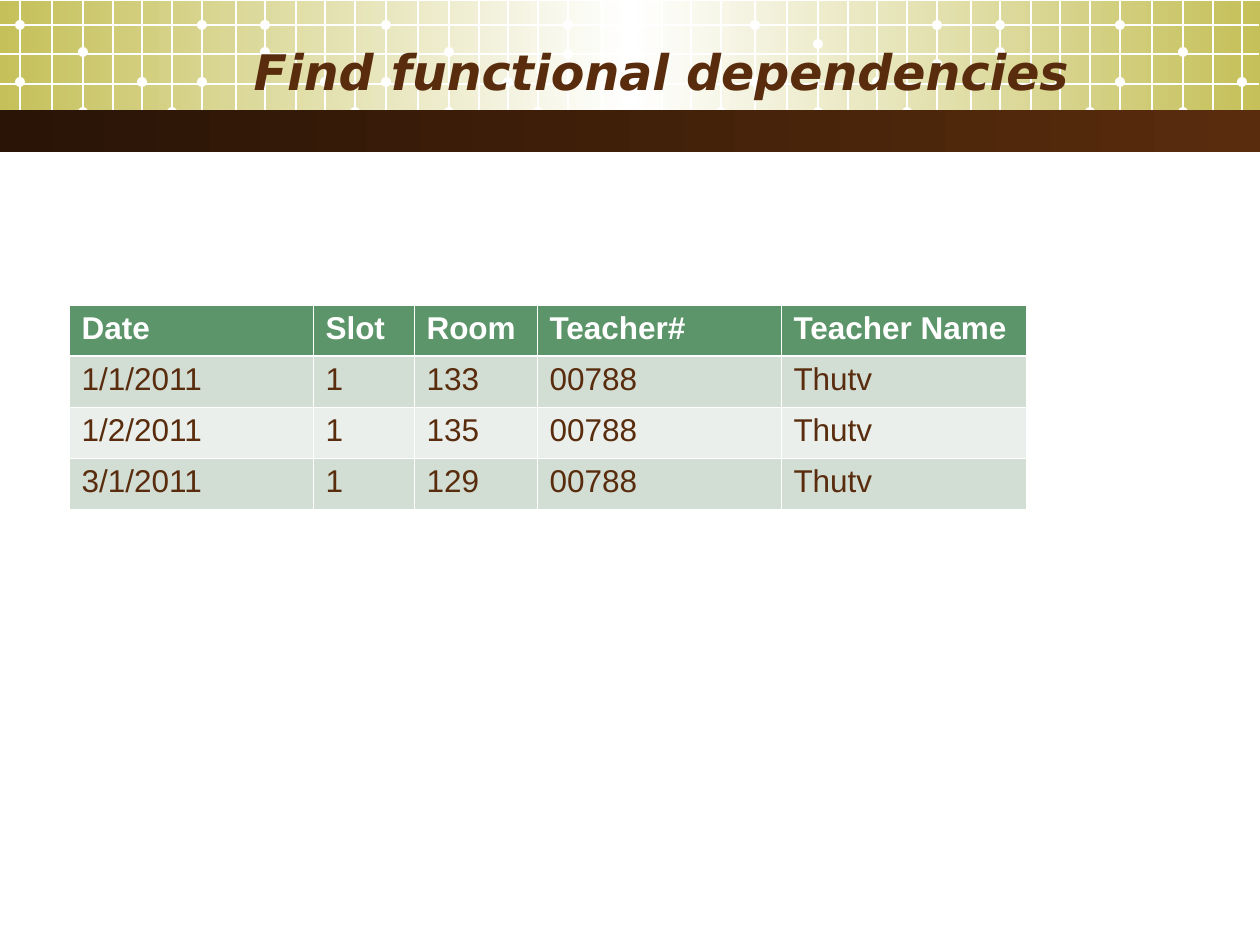
from copy import deepcopy

from lxml import etree
from pptx import Presentation
from pptx.dml.color import RGBColor
from pptx.enum.shapes import MSO_CONNECTOR, MSO_SHAPE
from pptx.enum.text import MSO_ANCHOR, PP_ALIGN
from pptx.oxml.ns import qn
from pptx.util import Emu, Pt

RECT, OVAL = MSO_SHAPE.RECTANGLE, MSO_SHAPE.OVAL
STRAIGHT = MSO_CONNECTOR.STRAIGHT
MIDDLE, RIGHT = MSO_ANCHOR.MIDDLE, PP_ALIGN.RIGHT

SLIDE_W, SLIDE_H = 1260, 945
OLIVE, WHITE, BROWN, DARK_BROWN = "C5C059", "FFFFFF", "592C0D", "291406"
GREEN, PALE_GREEN, PALER_GREEN = "5B9569", "D2DDD4", "EAEFEB"

TITLE_FORMAT = {"name": "DejaVu Sans", "size": Pt(28), "bold": True, "italic": True}
HEADER_FORMAT = {"name": "Arial", "size": Pt(18), "bold": True}
BODY_FORMAT = {**HEADER_FORMAT, "bold": False}

# Grid pattern: column offsets inside one tile, and rows across the band
COLUMN_OFFSETS = [0, 32, 63, 93, 122, 152, 182, 216, 245, 276, 305, 335]
GRID_ROWS = [25, 54, 84, 112]
# Tile start, height of the dot on column 63, height of the dot on column 182
TILES = [(20, 52, 82), (386, 52, 54), (755, 44, 64), (1120, 52, 82)]
DOT = 10

COLUMN_WIDTHS = [244, 101, 123, 244, 245]
ROW_HEIGHT = 51
SCHEDULE = [
    ["Date", "Slot", "Room", "Teacher#", "Teacher Name"],
    ["1/1/2011", "1", "133", "00788", "Thutv"],
    ["1/2/2011", "1", "135", "00788", "Thutv"],
    ["3/1/2011", "1", "129", "00788", "Thutv"],
]


def px(length):
    return Emu(round(length * 914400 / 126))


def rgb(color):
    return RGBColor.from_string(color)


def set_font(font, values, color):
    for key, value in values.items():
        setattr(font, key, value)
    font.color.rgb = rgb(color)


def add_plain(shapes, kind, box):
    shape = shapes.add_shape(kind, *map(px, box))
    shape.shadow.inherit = False
    shape.line.fill.background()
    return shape


def add_gradient(shapes, box, colors):
    fill = add_plain(shapes, RECT, box).fill
    fill.gradient()
    fill.gradient_angle = 0
    stops = fill.gradient_stops
    if len(colors) > len(stops):
        last = fill._xPr.find(".//" + qn("a:gsLst"))[-1]
        last.addnext(deepcopy(last))
        stops = fill.gradient_stops
    for index, (stop, color) in enumerate(zip(stops, colors)):
        stop.position = index / (len(colors) - 1)
        stop.color.rgb = rgb(color)


def add_grid_line(shapes, x1, y1, x2, y2):
    line = shapes.add_connector(STRAIGHT, *map(px, (x1, y1, x2, y2)))
    line.line.color.rgb = rgb(WHITE)
    line.line.width = Pt(0.75)
    etree.SubElement(line._element.spPr, qn("a:effectLst"))


def add_dot(shapes, x, y):
    box = (x - DOT // 2, y - DOT // 2, DOT, DOT)
    dot = add_plain(shapes, OVAL, box)
    dot.fill.solid()
    dot.fill.fore_color.rgb = rgb(WHITE)


def add_banner(slide, left, top, width, height):
    # Olive band
    add_gradient(slide.shapes, (left, top + 1, width, 128), [OLIVE, WHITE, OLIVE])

    # White grid with dots on some of its crossings
    grid = slide.shapes.add_group_shape().shapes
    for start, high, low in TILES:
        dots = [(0, 82), (0, 25), (63, high), (63, 112), (122, 82), (152, 112),
                (182, low), (182, 25), (245, 52), (245, 25), (305, 82), (335, 112)]
        for offset, y in dots:
            if start + offset < width:
                add_dot(grid, left + start + offset, top + y)
        for offset in COLUMN_OFFSETS:
            x = left + start + offset
            if x < left + width:
                add_grid_line(grid, x, top, x, top + 139)
    for y in GRID_ROWS:
        add_grid_line(grid, left - 1, top + y, left + width - 1, top + y)

    # Brown bar along the foot
    bar = 42
    add_gradient(slide.shapes, (left, top + height - bar, width, bar), [DARK_BROWN, BROWN])


def add_title(slide, left, top, width, height):
    frame = slide.shapes.add_textbox(*map(px, (left, top, width, height))).text_frame
    frame.word_wrap = True
    frame.vertical_anchor = MIDDLE
    heading = frame.paragraphs[0]
    heading.alignment = RIGHT
    heading.text = "Find functional dependencies"
    set_font(heading.runs[0].font, TITLE_FORMAT, BROWN)


def set_borders(cell, widths):
    properties = cell._tc.get_or_add_tcPr()
    for index, (side, width) in enumerate(widths.items()):
        border = etree.Element(qn(f"a:ln{side}"), w=str(Pt(width)))
        fill = etree.SubElement(border, qn("a:solidFill"))
        etree.SubElement(fill, qn("a:srgbClr"), val=WHITE)
        properties.insert(index, border)


def add_schedule(slide, left, top):
    size = (sum(COLUMN_WIDTHS), ROW_HEIGHT * len(SCHEDULE))
    table = slide.shapes.add_table(
        len(SCHEDULE), len(COLUMN_WIDTHS), *map(px, (left, top, *size))).table
    for column, width in zip(table.columns, COLUMN_WIDTHS):
        column.width = px(width)
    for r, record in enumerate(SCHEDULE):
        table.rows[r].height = px(ROW_HEIGHT)
        header = r == 0
        band = GREEN if header else (PALER_GREEN, PALE_GREEN)[r % 2]
        borders = {"L": 0.45, "R": 0.45,
                   "T": 1.47 if r == 1 else 0.45, "B": 1.47 if header else 0.45}
        for c, value in enumerate(record):
            cell = table.cell(r, c)
            cell.text = value
            cell.fill.solid()
            cell.fill.fore_color.rgb = rgb(band)
            set_borders(cell, borders)
            set_font(cell.text_frame.paragraphs[0].runs[0].font,
                     HEADER_FORMAT if header else BODY_FORMAT,
                     WHITE if header else BROWN)


def main():
    deck = Presentation()
    deck.slide_width, deck.slide_height = px(SLIDE_W), px(SLIDE_H)
    slide = deck.slides.add_slide(deck.slide_layouts[6])
    add_banner(slide, 0, 0, SLIDE_W, 152)
    add_title(slide, 63, 32, 1018, 78)
    add_schedule(slide, 69, 305)
    deck.save("out.pptx")


if __name__ == "__main__":
    main()
